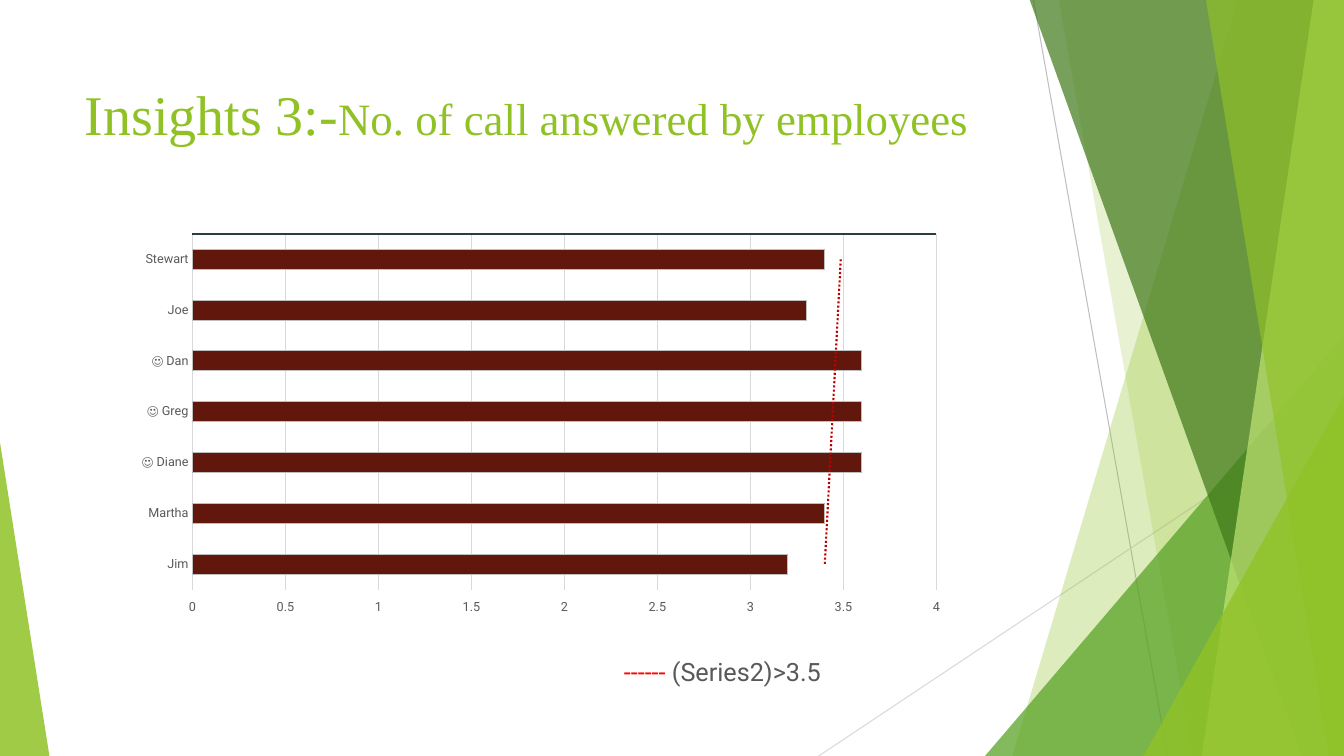
from lxml import etree
from pptx import Presentation
from pptx.chart.data import CategoryChartData
from pptx.dml.color import RGBColor
from pptx.enum.chart import XL_CHART_TYPE, XL_TICK_LABEL_POSITION, XL_TICK_MARK
from pptx.enum.shapes import MSO_CONNECTOR, MSO_SHAPE
from pptx.enum.text import MSO_ANCHOR, PP_ALIGN
from pptx.oxml import parse_xml
from pptx.oxml.ns import nsdecls, qn
from pptx.util import Inches, Pt

BAR = XL_CHART_TYPE.BAR_CLUSTERED
LABELS_HIGH = XL_TICK_LABEL_POSITION.HIGH
NO_TICK = XL_TICK_MARK.NONE
STRAIGHT = MSO_CONNECTOR.STRAIGHT
TRIANGLE = MSO_SHAPE.ISOSCELES_TRIANGLE
TOP = MSO_ANCHOR.TOP
LEFT = PP_ALIGN.LEFT

WIDTH, HEIGHT = 13.33, 7.5
GREEN, MAROON, GREY = "90C226", "62170D", "595959"
SERIF, SANS = "Times New Roman", "Roboto"
EMPLOYEES = ["Stewart", "Joe", "☺ Dan", "☺ Greg", "☺ Diane", "Martha", "Jim"]
ANSWERED = [3.4, 3.3, 3.6, 3.6, 3.6, 3.4, 3.2]


def rgb(color):
    return RGBColor.from_string(color)


def style_font(font, size, color, name):
    font.size = Pt(size)
    font.color.rgb = rgb(color)
    font.name = name
    font.bold = False


def add_run(p, text, size=18, color=GREY, font=SANS):
    r = p.add_run()
    r.text = text
    style_font(r.font, size, color, font)


def style_line(line, color, width=0.75):
    line.color.rgb = rgb(color)
    line.width = Pt(width)


def paint(sp, color, opacity):
    """Fill a shape with a see-through colour, without outline or shadow."""
    sp.shadow.inherit = False
    sp.line.fill.background()
    sp.fill.solid()
    sp.fill.fore_color.rgb = rgb(color)
    clr = sp.fill._xPr.find(".//" + qn("a:srgbClr"))
    etree.SubElement(clr, qn("a:alpha")).set("val", str(opacity * 1000))


def add_band(s, top_x, bottom_x, color, opacity):
    """Add a band with a slanted left side that reaches the right slide edge."""
    top = -0.01
    points = [(WIDTH, top), (WIDTH, HEIGHT), (bottom_x, HEIGHT)]
    builder = s.shapes.build_freeform(Inches(top_x), Inches(top))
    builder.add_line_segments([(Inches(x), Inches(y)) for x, y in points])
    paint(builder.convert_to_shape(), color, opacity)


def add_triangle(s, left, top, width, apex, color, opacity):
    """Add a triangle standing on the bottom edge of the slide."""
    sp = s.shapes.add_shape(TRIANGLE, Inches(left), Inches(top),
                            Inches(width), Inches(HEIGHT - top))
    sp.adjustments[0] = apex
    paint(sp, color, opacity)


def add_thin_line(s, x1, y1, x2, y2, color):
    line = s.shapes.add_connector(STRAIGHT, Inches(x1), Inches(y1),
                                  Inches(x2), Inches(y2))
    style_line(line.line, color)
    etree.SubElement(line._element.spPr, qn("a:effectLst"))


def add_decoration(s):
    add_thin_line(s, 10.25, 0, 11.58, HEIGHT, "BFBFBF")
    add_thin_line(s, WIDTH, 4.03, 8.12, HEIGHT, "D9D9D9")
    add_band(s, 12.28, 10.04, GREEN, 30)
    add_band(s, 10.5, 11.83, GREEN, 20)
    add_triangle(s, 9.77, 3.33, 3.56, 1, "54A021", 72)
    add_band(s, 10.21, 12.91, "3F7819", 70)
    add_band(s, 13.03, 11.92, "C0E474", 70)
    add_band(s, 11.96, 13.18, GREEN, 65)
    add_triangle(s, 11.34, 3.93, 1.99, 1, GREEN, 80)
    add_triangle(s, 0, 4.39, 0.49, 0, GREEN, 85)


def fill_title(s):
    title = s.shapes.title
    title.left, title.top = Inches(0.74), Inches(0.67)
    title.width, title.height = Inches(9.4), Inches(1.44)
    tf = title.text_frame
    tf.vertical_anchor = TOP
    tf.margin_top = Inches(0.12)
    p = tf.paragraphs[0]
    p.alignment = LEFT
    add_run(p, "Insights 3:-", size=40, color=GREEN, font=SERIF)
    add_run(p, "No. of call answered by employees", size=32, color=GREEN, font=SERIF)


def set_layout(parent, index, **settings):
    """Give a chart part a manual layout, as fractions of the chart."""
    for old in parent.findall(qn("c:layout")):
        parent.remove(old)
    items = "".join(f'<c:{k} val="{v}"/>' for k, v in settings.items())
    parent.insert(index, parse_xml(
        f'<c:layout {nsdecls("c")}><c:manualLayout>{items}</c:manualLayout></c:layout>'))


def add_trendline(series, color, width):
    trend = parse_xml(
        f'<c:trendline {nsdecls("c", "a")}><c:spPr><a:ln w="{Pt(width)}">'
        f'<a:solidFill><a:srgbClr val="{color}"/></a:solidFill>'
        '<a:prstDash val="sysDot"/></a:ln></c:spPr>'
        '<c:trendlineType val="linear"/><c:dispRSqr val="0"/>'
        '<c:dispEq val="0"/></c:trendline>')
    series._element.find(qn("c:cat")).addprevious(trend)


def style_axis(axis, line_color):
    axis.major_tick_mark = axis.minor_tick_mark = NO_TICK
    style_font(axis.tick_labels.font, 9, GREY, SANS)
    style_line(axis.format.line, line_color)


def add_calls_chart(s):
    data = CategoryChartData()
    data.categories = EMPLOYEES
    for name in ("Series 1", ""):
        data.add_series(name, ANSWERED)
    chart = s.shapes.add_chart(BAR, Inches(0.33), Inches(1.87),
                               Inches(9.4), Inches(5.07), data).chart
    chart.has_title = chart.has_legend = False
    style_font(chart.font, 10, "000000", SANS)
    space = chart._chartSpace
    space.find(qn("c:chart")).addnext(parse_xml(
        f'<c:spPr {nsdecls("c", "a")}><a:noFill/><a:ln><a:noFill/></a:ln></c:spPr>'))
    set_layout(space.find(".//" + qn("c:plotArea")), 0, layoutTarget="inner",
               xMode="edge", yMode="edge", x=0.168, y=0.089, w=0.785, h=0.696)

    plot = chart.plots[0]
    plot.gap_width, plot.overlap = 153, 100
    plot.vary_by_categories = False
    for series, color in zip(plot.series, (GREEN, MAROON)):
        series.format.fill.solid()
        series.format.fill.fore_color.rgb = rgb(color)
    answered = plot.series[1]
    style_line(answered.format.line, "BFBFBF")
    add_trendline(answered, "C00000", 1.5)

    names, values = chart.category_axis, chart.value_axis
    style_axis(names, "D9D9D9")
    names.reverse_order = True
    style_axis(values, "2C3C43")
    values.format.line.width = Pt(1.5)
    values.tick_label_position = LABELS_HIGH
    values.minimum_scale, values.maximum_scale, values.major_unit = 0, 4, 0.5
    values.tick_labels.number_format = "General"
    values.tick_labels.number_format_is_linked = False
    style_line(values.major_gridlines.format.line, "D9D9D9")

    title = values.axis_title
    p = title.text_frame.paragraphs[0]
    add_run(p, "------", color="FF0000")
    add_run(p, " (Series2)>3.5")
    set_layout(title._element, 1, xMode="edge", yMode="edge", x=0.62, y=0.91)


def main():
    prs = Presentation()
    prs.slide_width, prs.slide_height = Inches(WIDTH), Inches(HEIGHT)
    s = prs.slides.add_slide(prs.slide_layouts[5])
    add_decoration(s)
    fill_title(s)
    add_calls_chart(s)
    prs.save("out.pptx")


if __name__ == "__main__":
    main()
